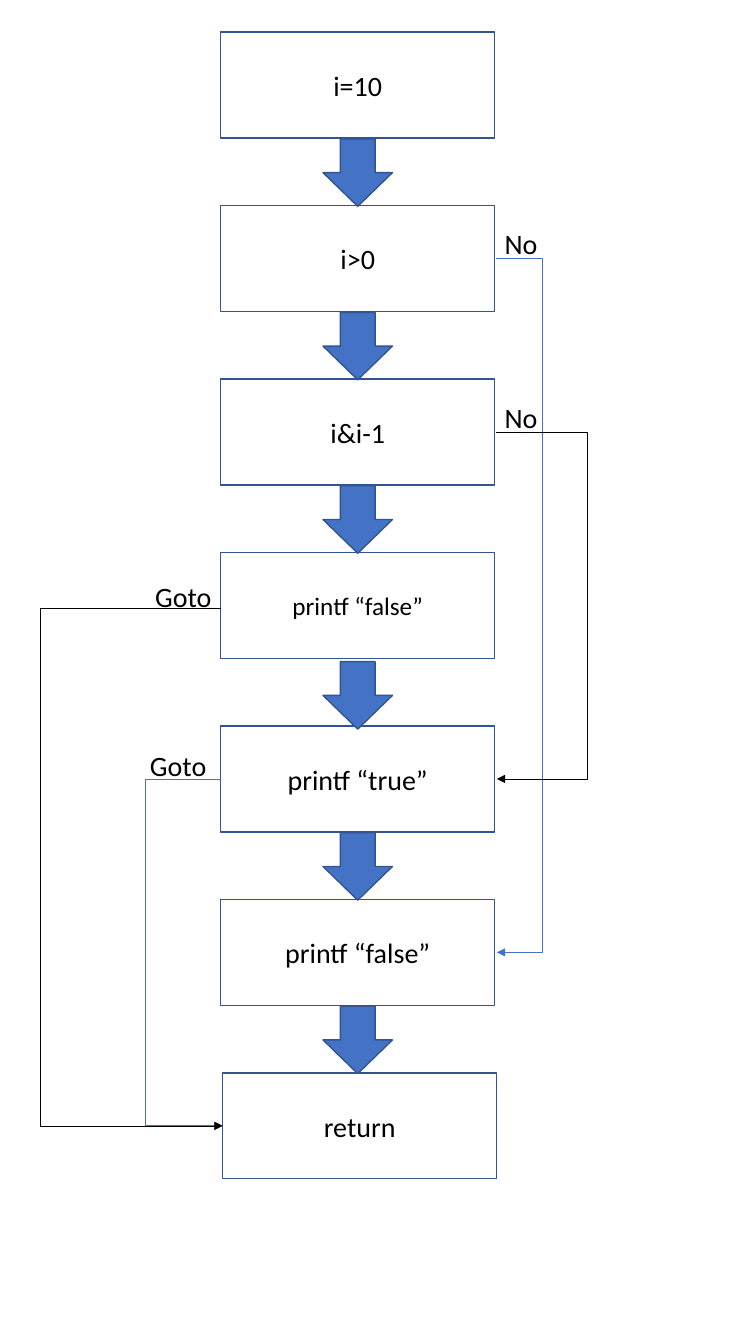
from lxml import etree
from pptx import Presentation
from pptx import util as u
from pptx.dml.color import RGBColor
from pptx.enum import shapes, text
from pptx.oxml import ns

COLORS = {"blue": "4472C4", "outline": "325491", "black": "000000"}

# Flow grid, in centimetres
BOX_X, BOX_TOP, BOX_W, BOX_H = 5.56, 0.81, 6.91, 2.67
STEP = 4.37
ARROW_W, ARROW_H = 1.75, 1.7
RIGHT = BOX_X + BOX_W + 0.02
RETURN_X = BOX_X + 0.05


def row_top(row):
    return BOX_TOP + STEP * row


def row_mid(row):
    return row_top(row) + BOX_H / 2


def write(tf, words, size=20, color="black", font="Calibri"):
    tf.word_wrap = True
    tf.vertical_anchor = text.MSO_ANCHOR.MIDDLE
    p = tf.paragraphs[0]
    p.alignment = text.PP_ALIGN.CENTER
    r = p.add_run()
    r.text = words
    r.font.name, r.font.size = font, u.Pt(size)
    r.font.color.rgb = RGBColor.from_string(COLORS[color])


class FlowChart:
    def __init__(self, slide, font="Calibri"):
        self.s, self.font = slide, font

    def stroke(self, line, color, width):
        line.color.rgb = RGBColor.from_string(COLORS[color])
        line.width = u.Pt(width)

    def shape(self, kind, x, y, w, h, fill=None):
        sp = self.s.shapes.add_shape(kind, u.Cm(x), u.Cm(y), u.Cm(w), u.Cm(h))
        sp.shadow.inherit = False
        if fill:
            sp.fill.solid()
            sp.fill.fore_color.rgb = RGBColor.from_string(COLORS[fill])
        else:
            sp.fill.background()
        self.stroke(sp.line, "outline", 1)
        return sp

    def box(self, words, x, y, size=20):
        sp = self.shape(shapes.MSO_SHAPE.RECTANGLE, x, y, BOX_W, BOX_H)
        write(sp.text_frame, words, size=size, font=self.font)

    def down_arrow(self, y):
        x = BOX_X + (BOX_W - ARROW_W) / 2
        self.shape(shapes.MSO_SHAPE.DOWN_ARROW, x, y, ARROW_W, ARROW_H, "blue")

    def label(self, words, x, y):
        sp = self.s.shapes.add_textbox(u.Cm(x), u.Cm(y), u.Cm(2.54), u.Cm(1.11))
        write(sp.text_frame, words, font=self.font)
        sp.text_frame.auto_size = text.MSO_AUTO_SIZE.SHAPE_TO_FIT_TEXT

    def connector(self, x1, y1, x2, y2, color, via=None, head=True):
        """Join two points; via is the x of the vertical part of an elbow."""
        kind = shapes.MSO_CONNECTOR
        c = self.s.shapes.add_connector(
            kind.STRAIGHT if via is None else kind.ELBOW,
            u.Cm(x1), u.Cm(y1), u.Cm(x2), u.Cm(y2))
        self.stroke(c.line, color, 0.5)
        pr = c._element.spPr
        if via is not None:
            ratio = round((via - x1) / (x2 - x1) * 100000)
            guides = pr.find(ns.qn("a:prstGeom")).get_or_add_avLst()
            etree.SubElement(guides, ns.qn("a:gd"), name="adj1", fmla=f"val {ratio}")
        if head:
            etree.SubElement(pr.find(ns.qn("a:ln")), ns.qn("a:tailEnd"), type="triangle")
        etree.SubElement(pr, ns.qn("a:effectLst"))


prs = Presentation()
prs.slide_width, prs.slide_height = u.Cm(19.05), u.Cm(33.86)
chart = FlowChart(prs.slides.add_slide(prs.slide_layouts[6]))

# Steps and the arrows between them
STEPS = [("i=10", 20), ("i>0", 20), ("i&i-1", 20), ("printf “false”", 18),
         ("printf “true”", 20), ("printf “false”", 20), ("return", 20)]
last = len(STEPS) - 1
for row, (words, size) in enumerate(STEPS):
    chart.box(words, RETURN_X if row == last else BOX_X, row_top(row), size)
for row in range(last):
    gap = 0.08 if row == 3 else 0.02
    chart.down_arrow(row_top(row) + BOX_H + gap)

# "No" branches on the right
for start, end, via, color in [(1, 5, 13.67, "blue"), (2, 4, 14.81, "black")]:
    chart.connector(RIGHT, row_mid(start), RIGHT + 0.03, row_mid(end), color, via)
    chart.label("No", 11.86, row_mid(start) - 0.93)

# Jumps to return on the left
end_y = row_mid(last)
chart.connector(BOX_X, row_mid(4), RETURN_X, end_y, "blue", via=3.66)
chart.connector(1.02, end_y, BOX_X, row_mid(3) + 0.08, "black", via=1.02, head=False)
chart.connector(1.02, end_y, RETURN_X, end_y, "black")
chart.label("Goto ", 3.43, 14.48)
chart.label("Goto ", 3.3, 18.72)

prs.save("out.pptx")
